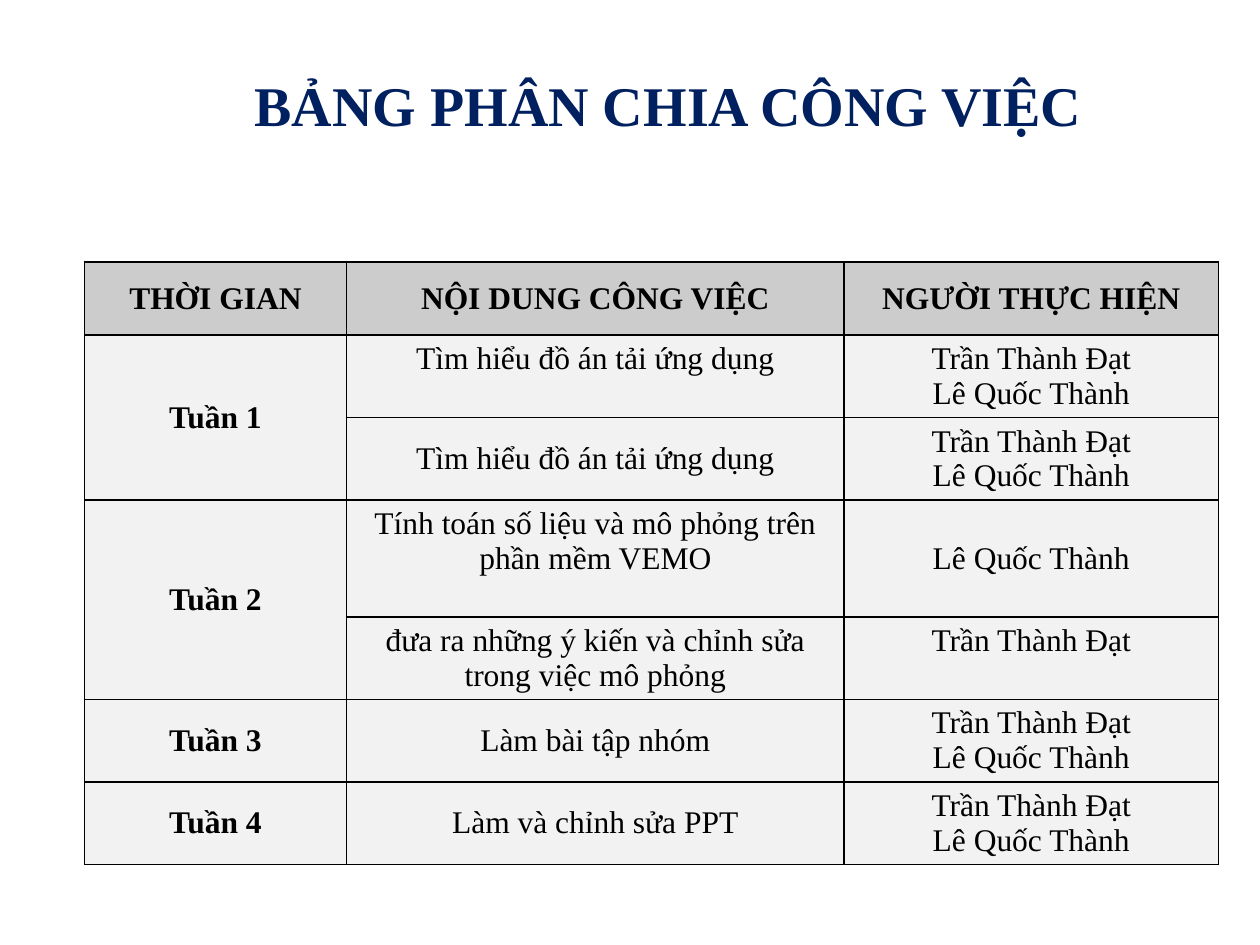
from lxml.etree import SubElement
from pptx import Presentation
from pptx.dml.color import RGBColor
from pptx.enum.text import MSO_ANCHOR, PP_ALIGN
from pptx.oxml.ns import qn
from pptx.util import Inches, Pt

COLORS = {"title": "002060", "text": "000000", "border": "000000",
          "header": "CCCCCC", "body": "F2F2F2"}
FONT = "Times New Roman"

HEADERS = ["THỜI GIAN", "NỘI DUNG CÔNG VIỆC", "NGƯỜI THỰC HIỆN"]
DAT, THANH = "Trần Thành Đạt", "Lê Quốc Thành"
BOTH = f"{DAT}\n{THANH}"
# Each week lists its tasks and the people who do them
WEEKS = [
    ("Tuần 1", [("Tìm hiểu đồ án tải ứng dụng", BOTH),
                ("Tìm hiểu đồ án tải ứng dụng", BOTH)]),
    ("Tuần 2", [("Tính toán số liệu và mô phỏng trên phần mềm VEMO", THANH),
                ("đưa ra những ý kiến và chỉnh sửa trong việc mô phỏng", DAT)]),
    ("Tuần 3", [("Làm bài tập nhóm", BOTH)]),
    ("Tuần 4", [("Làm và chỉnh sửa PPT", BOTH)]),
]
COL_WIDTHS = [2.08, 3.95, 2.97]
ROW_HEIGHTS = [0.58, 0.65, 0.65, 0.93, 0.65, 0.65, 0.65]
TOP_CELLS = {(1, 1), (3, 1), (4, 2)}


def write_text(tf, text, size=18, color="text", bold=False, align=PP_ALIGN.CENTER):
    tf.word_wrap = True
    for i, line in enumerate(text.split("\n")):
        p = tf.paragraphs[0] if i == 0 else tf.add_paragraph()
        p.alignment = align
        r = p.add_run()
        r.text = line
        r.font.name, r.font.size, r.font.bold = FONT, Pt(size), bold
        r.font.color.rgb = RGBColor.from_string(COLORS[color])


def set_borders(cell):
    tcPr = cell._tc.get_or_add_tcPr()
    for i, side in enumerate(("a:lnL", "a:lnR", "a:lnT", "a:lnB")):
        ln = tcPr.makeelement(qn(side), {"w": str(Pt(1))})
        fill = SubElement(ln, qn("a:solidFill"))
        SubElement(fill, qn("a:srgbClr"), val=COLORS["border"])
        tcPr.insert(i, ln)


def add_title(s, left, top, width, height):
    sp = s.shapes.title
    sp.left, sp.top, sp.width, sp.height = left, top, width, height
    sp.text_frame.vertical_anchor = MSO_ANCHOR.MIDDLE
    write_text(sp.text_frame, "BẢNG PHÂN CHIA CÔNG VIỆC", size=32,
               color="title", bold=True, align=PP_ALIGN.LEFT)


def add_schedule(s, left, top, width, height):
    table = s.shapes.add_table(len(ROW_HEIGHTS), len(COL_WIDTHS),
                               left, top, width, height).table
    for col, w in zip(table.columns, COL_WIDTHS):
        col.width = Inches(w)
    for row, h in zip(table.rows, ROW_HEIGHTS):
        row.height = Inches(h)

    # Fill, borders and anchors
    for row in range(len(ROW_HEIGHTS)):
        for col in range(len(COL_WIDTHS)):
            cell = table.cell(row, col)
            cell.fill.solid()
            cell.fill.fore_color.rgb = RGBColor.from_string(
                COLORS["body" if row else "header"])
            cell.vertical_anchor = (MSO_ANCHOR.TOP if (row, col) in TOP_CELLS
                                    else MSO_ANCHOR.MIDDLE)
            set_borders(cell)

    # Header row
    for col, text in enumerate(HEADERS):
        write_text(table.cell(0, col).text_frame, text, bold=True)

    # Weeks, merged over their tasks
    row = 1
    for week, tasks in WEEKS:
        week_cell = table.cell(row, 0)
        if len(tasks) > 1:
            week_cell.merge(table.cell(row + len(tasks) - 1, 0))
        write_text(week_cell.text_frame, week, bold=True)
        for task, people in tasks:
            write_text(table.cell(row, 1).text_frame, task)
            write_text(table.cell(row, 2).text_frame, people)
            row += 1


def main():
    prs = Presentation()
    prs.slide_width, prs.slide_height = Inches(10), Inches(7.5)
    s = prs.slides.add_slide(prs.slide_layouts[5])
    add_title(s, Inches(1.92), Inches(0.31), Inches(7.75), Inches(1.03))
    add_schedule(s, Inches(0.67), Inches(2.08),
                 Inches(sum(COL_WIDTHS)), Inches(sum(ROW_HEIGHTS)))
    prs.save("out.pptx")


if __name__ == "__main__":
    main()
